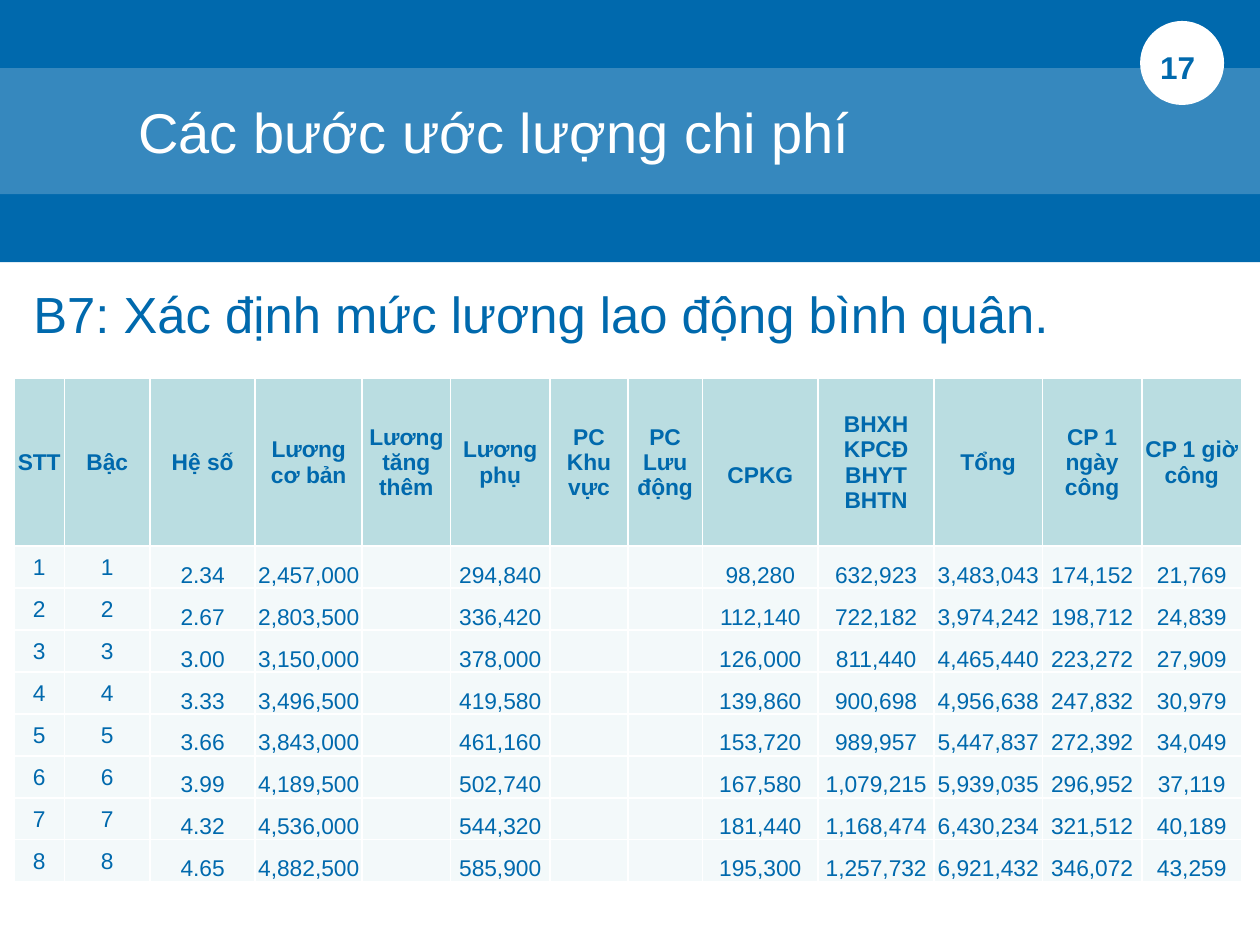
"""Build the slide on average labour wages with its pay-grade table."""
from lxml import etree
from pptx import Presentation
from pptx import util as u
from pptx.dml import color
from pptx.enum import shapes, text
from pptx.oxml import ns

COLORS = {"blue": "0069AD", "white": "FFFFFF", "head": "BADDE1", "body": "F3F9FA"}
FONT = "Arial"
CELL_SIZE = 13
HEADERS = ["STT", "Bậc", "Hệ số", "Lương\vcơ bản", "Lương tăng thêm", "Lương phụ",
           "PC Khu vực", "PC Lưu động", "CPKG", "BHXH\vKPCĐ\vBHYT\vBHTN", "Tổng",
           "CP 1 ngày công", "CP 1 giờ công"]
WAGES = [
    ("2.34", "2,457,000", "", "294,840", "", "", "98,280", "632,923", "3,483,043", "174,152", "21,769"),
    ("2.67", "2,803,500", "", "336,420", "", "", "112,140", "722,182", "3,974,242", "198,712", "24,839"),
    ("3.00", "3,150,000", "", "378,000", "", "", "126,000", "811,440", "4,465,440", "223,272", "27,909"),
    ("3.33", "3,496,500", "", "419,580", "", "", "139,860", "900,698", "4,956,638", "247,832", "30,979"),
    ("3.66", "3,843,000", "", "461,160", "", "", "153,720", "989,957", "5,447,837", "272,392", "34,049"),
    ("3.99", "4,189,500", "", "502,740", "", "", "167,580", "1,079,215", "5,939,035", "296,952", "37,119"),
    ("4.32", "4,536,000", "", "544,320", "", "", "181,440", "1,168,474", "6,430,234", "321,512", "40,189"),
    ("4.65", "4,882,500", "", "585,900", "", "", "195,300", "1,257,732", "6,921,432", "346,072", "43,259"),
]
COL_WIDTHS = [28.8, 49, 60, 61.2, 50.4, 56.9, 44.6, 42.5, 66.2, 66.2, 61.9, 56.9, 56.9]
HEAD_HEIGHT, ROW_HEIGHT = 96, 24
RECT, OVAL = shapes.MSO_SHAPE.RECTANGLE, shapes.MSO_SHAPE.OVAL
PANELS = {
    "header": (RECT, (0, 0, 720, 150), "blue"),
    "title": (RECT, (0, 39, 720, 72), "white"),
    "content": (RECT, (0, 150, 720, 390), "white"),
    "badge": (OVAL, (651.5, 12, 48, 48), "white"),
}
ALIGN, ANCHOR = text.PP_ALIGN, text.MSO_ANCHOR
LABELS = [
    ("17", (522, 24, 168, 44), 18, True, {"alignment": ALIGN.RIGHT}),
    ("B7: Xác định mức lương lao động bình quân.", (12, 158, 690, 58), 29, False,
     {"alignment": ALIGN.JUSTIFY, "space_before": u.Pt(5.8)}),
]


def rgb(name):
    return color.RGBColor.from_string(COLORS[name])


def apply(target, values):
    for name, value in values.items():
        setattr(target, name, value)


def write(tf, words, size, bold=False, ink="blue", **layout):
    p = tf.paragraphs[0]
    p.text = words
    apply(p, layout)
    for r in p.runs:
        apply(r.font, {"name": FONT, "size": u.Pt(size), "bold": bold})
        r.font.color.rgb = rgb(ink)
    for br in p._p.findall(ns.qn("a:br")):
        etree.SubElement(br, ns.qn("a:rPr"), sz=str(size * 100))


def add_panel(s, kind, box, fill):
    sp = s.shapes.add_shape(kind, *map(u.Pt, box))
    sp.shadow.inherit = False
    sp.fill.solid()
    sp.fill.fore_color.rgb = rgb(fill)
    sp.line.fill.background()
    return sp


def style_cell(cell, fill):
    tc_pr = cell._tc.get_or_add_tcPr()
    for side in ("lnL", "lnR", "lnT", "lnB"):
        ln = etree.SubElement(tc_pr, ns.qn(f"a:{side}"), w=str(u.Pt(1)))
        paint = etree.SubElement(ln, ns.qn("a:solidFill"))
        etree.SubElement(paint, ns.qn("a:srgbClr"), val=COLORS["white"])
    cell.fill.solid()
    cell.fill.fore_color.rgb = rgb(fill)
    apply(cell, {"margin_left": u.Pt(0.7), "margin_right": u.Pt(0.7),
                 "margin_top": u.Pt(0.7), "margin_bottom": 0})


def add_wage_table(s):
    rows = [HEADERS] + [(str(n), str(n), *wage) for n, wage in enumerate(WAGES, 1)]
    height = HEAD_HEIGHT + ROW_HEIGHT * len(WAGES)
    box = map(u.Pt, (8, 216, sum(COL_WIDTHS), height))
    table = s.shapes.add_table(len(rows), len(HEADERS), *box).table
    for column, width in zip(table.columns, COL_WIDTHS):
        column.width = u.Pt(width)
    for i, values in enumerate(rows):
        head = i == 0
        table.rows[i].height = u.Pt(HEAD_HEIGHT if head else ROW_HEIGHT)
        for j, value in enumerate(values):
            cell = table.cell(i, j)
            style_cell(cell, "head" if head else "body")
            cell.vertical_anchor = ANCHOR.MIDDLE if head or j < 2 else ANCHOR.BOTTOM
            write(cell.text_frame, value, CELL_SIZE, head, alignment=ALIGN.CENTER)
    table.cell(0, HEADERS.index("CPKG")).margin_top = u.Pt(15.5)


def main():
    prs = Presentation()
    apply(prs, {"slide_width": u.Pt(720), "slide_height": u.Pt(540)})
    s = prs.slides.add_slide(prs.slide_layouts[6])
    panels = {name: add_panel(s, *panel) for name, panel in PANELS.items()}

    title = panels["title"]
    tint = title.fill._xPr.find(".//" + ns.qn("a:srgbClr"))
    etree.SubElement(tint, ns.qn("a:alpha"), val="21000")
    apply(title.text_frame, {"margin_left": u.Pt(79), "vertical_anchor": ANCHOR.MIDDLE})
    write(title.text_frame, "Các bước ước lượng chi phí", 32, ink="white", alignment=ALIGN.LEFT)

    for words, box, size, bold, layout in LABELS:
        tf = s.shapes.add_textbox(*map(u.Pt, box)).text_frame
        tf.word_wrap = True
        write(tf, words, size, bold, **layout)
    add_wage_table(s)
    prs.save("out.pptx")


if __name__ == "__main__":
    main()
